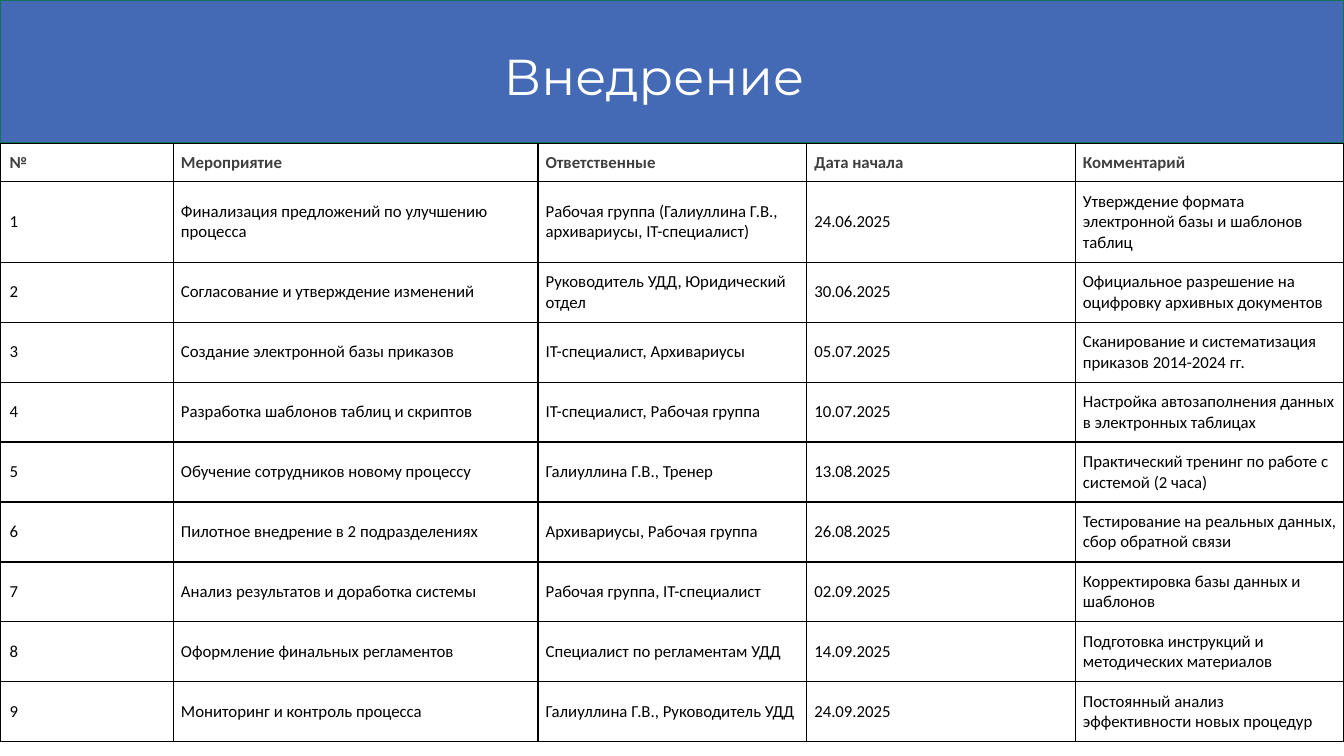
from typing import NamedTuple

from lxml.etree import SubElement as Sub
from pptx import Presentation
from pptx.dml.color import RGBColor as Rgb
from pptx.enum.shapes import MSO_SHAPE as Form
from pptx.enum.text import MSO_ANCHOR as Anchor, PP_ALIGN as Align
from pptx.oxml.ns import qn
from pptx.util import Cm, Pt

COLORS = {
    "band": "456AB5",
    "edge": "157259",
    "white": "FFFFFF",
    "head": "404040",
    "black": "000000",
}
WIDTH, HEIGHT = 33.87, 19.05
BAND = 3.61
COLS = [4.37, 9.19] + [6.77] * 3
ROWS = [0.96, 2.04] + [1.51] * 8
PAD, FIRST = 0.19, 0.24


class Step(NamedTuple):
    num: str
    task: str
    team: str
    date: str
    note: str


STEPS = [
    Step("№", "Мероприятие", "Ответственные", "Дата начала", "Комментарий"),
    Step("1", "Финализация предложений по улучшению процесса",
         "Рабочая группа (Галиуллина Г.В., архивариусы, IT-специалист)",
         "24.06.2025", "Утверждение формата электронной базы и шаблонов таблиц"),
    Step("2", "Согласование и утверждение изменений",
         "Руководитель УДД, Юридический отдел",
         "30.06.2025", "Официальное разрешение на оцифровку архивных документов"),
    Step("3", "Создание электронной базы приказов",
         "IT-специалист, Архивариусы",
         "05.07.2025", "Сканирование и систематизация приказов 2014-2024 гг."),
    Step("4", "Разработка шаблонов таблиц и скриптов",
         "IT-специалист, Рабочая группа",
         "10.07.2025", "Настройка автозаполнения данных в электронных таблицах"),
    Step("5", "Обучение сотрудников новому процессу",
         "Галиуллина Г.В., Тренер",
         "13.08.2025", "Практический тренинг по работе с системой (2 часа)"),
    Step("6", "Пилотное внедрение в 2 подразделениях",
         "Архивариусы, Рабочая группа",
         "26.08.2025", "Тестирование на реальных данных, сбор обратной связи"),
    Step("7", "Анализ результатов и доработка системы",
         "Рабочая группа, IT-специалист",
         "02.09.2025", "Корректировка базы данных и шаблонов"),
    Step("8", "Оформление финальных регламентов",
         "Специалист по регламентам УДД",
         "14.09.2025", "Подготовка инструкций и методических материалов"),
    Step("9", "Мониторинг и контроль процесса",
         "Галиуллина Г.В., Руководитель УДД",
         "24.09.2025", "Постоянный анализ эффективности новых процедур"),
]


def color(key: str) -> Rgb:
    return Rgb.from_string(COLORS[key])


def add_run(par, text: str, face: str, size: float, key: str, bold: bool = False) -> None:
    run = par.add_run()
    run.text = text
    font = run.font
    font.name, font.size, font.bold = face, Pt(size), bold
    font.color.rgb = color(key)


def add_title(slide, text: str) -> None:
    # Blue band
    band = slide.shapes.add_shape(Form.RECTANGLE, 0, 0, Cm(WIDTH), Cm(BAND))
    band.shadow.inherit = False
    band.fill.solid()
    band.fill.fore_color.rgb = color("band")
    band.line.color.rgb = color("edge")
    band.line.width = Pt(1)

    # Heading
    box = slide.shapes.add_textbox(Cm(3.78), Cm(0.36), Cm(25.4), Cm(2.44))
    frame = box.text_frame
    frame.word_wrap = True
    frame.vertical_anchor = Anchor.BOTTOM
    par = frame.paragraphs[0]
    par.alignment = Align.CENTER
    par.line_spacing = 0.9
    add_run(par, text, "Montserrat", 36, "white")


def add_edges(cell) -> None:
    props = cell._tc.get_or_add_tcPr()
    for spot, side in enumerate(("lnL", "lnR", "lnT", "lnB")):
        line = Sub(props, qn(f"a:{side}"), w=str(Pt(1)))
        Sub(Sub(line, qn("a:solidFill")), qn("a:srgbClr"), val=COLORS["black"])
        props.insert(spot, line)


def fill_cell(cell, text: str, head: bool, first: bool) -> None:
    cell.fill.solid()
    cell.fill.fore_color.rgb = color("white")
    cell.vertical_anchor = Anchor.MIDDLE
    cell.margin_left = Cm(FIRST if first else PAD)
    cell.margin_right = cell.margin_top = cell.margin_bottom = Cm(PAD)
    add_run(cell.text_frame.paragraphs[0], text, "Calibri", 12,
            "head" if head else "black", head)
    add_edges(cell)


def add_plan(slide, steps: list[Step]) -> None:
    grid = slide.shapes.add_table(len(steps), len(COLS), 0, Cm(BAND),
                                  Cm(sum(COLS)), Cm(sum(ROWS))).table
    grid.horz_banding = False
    for col, width in zip(grid.columns, COLS):
        col.width = Cm(width)
    for row, tall in zip(grid.rows, ROWS):
        row.height = Cm(tall)
    for r, step in enumerate(steps):
        for c, text in enumerate(step):
            fill_cell(grid.cell(r, c), text, r == 0, c == 0)


def main() -> None:
    deck = Presentation()
    deck.slide_width, deck.slide_height = Cm(WIDTH), Cm(HEIGHT)
    slide = deck.slides.add_slide(deck.slide_layouts[6])
    add_title(slide, "Внедрение")
    add_plan(slide, STEPS)
    deck.save("out.pptx")


if __name__ == "__main__":
    main()
